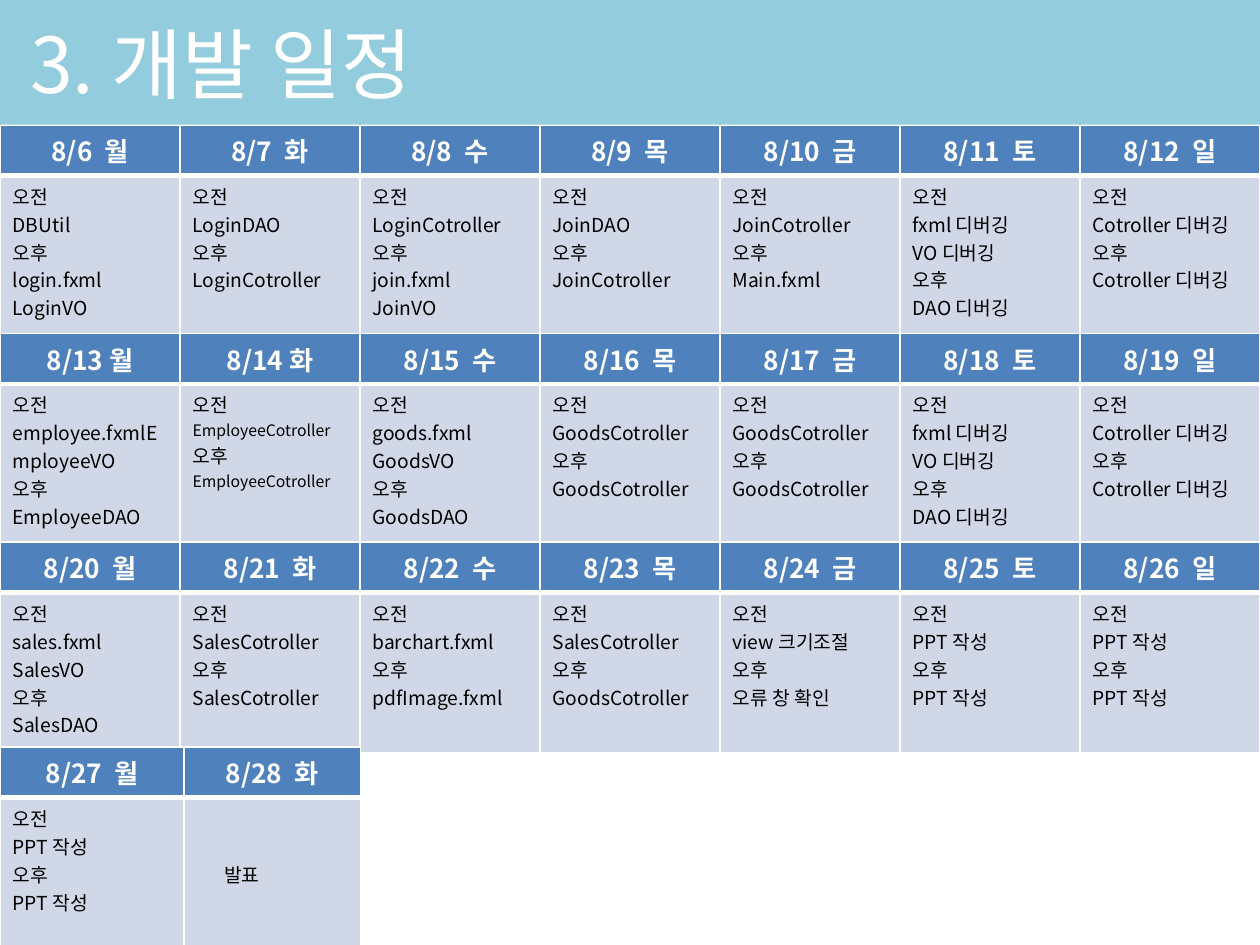
import pptx
import pptx.util
import pptx.dml.color
import pptx.enum.shapes
import pptx.enum.text
import pptx.oxml
import pptx.oxml.ns
import lxml.etree

Inches = pptx.util.Inches
Pt = pptx.util.Pt
RGBColor = pptx.dml.color.RGBColor
ALIGN = pptx.enum.text.PP_ALIGN
ANCHOR = pptx.enum.text.MSO_ANCHOR
qn = pptx.oxml.ns.qn

FONT = "Noto Sans CJK KR"
WHITE = RGBColor(0xFF, 0xFF, 0xFF)
BLACK = RGBColor(0x00, 0x00, 0x00)
SKY = RGBColor(0x93, 0xCD, 0xDD)
BLUE = RGBColor(0x4F, 0x81, 0xBD)
PALE = RGBColor(0xD0, 0xD8, 0xE8)

HEADER_HEIGHT = 0.39
SMALL_SIZES = {"EmployeeCotroller": 9}

WEEK_ONE = [
    ("8/6  월", ["오전", "DBUtil", "오후", "login.fxml", "LoginVO"]),
    ("8/7  화", ["오전", "LoginDAO", "오후", "LoginCotroller"]),
    ("8/8  수", ["오전", "LoginCotroller", "오후", "join.fxml", "JoinVO"]),
    ("8/9  목", ["오전", "JoinDAO", "오후", "JoinCotroller"]),
    ("8/10  금", ["오전", "JoinCotroller", "오후", "Main.fxml"]),
    ("8/11  토", ["오전", "fxml 디버깅", "VO 디버깅", "오후", "DAO 디버깅"]),
    ("8/12  일", ["오전", "Cotroller 디버깅", "오후", "Cotroller 디버깅"]),
]
WEEK_TWO = [
    ("8/13 월", ["오전", "employee.fxmlEmployeeVO", "오후", "EmployeeDAO"]),
    ("8/14 화", ["오전", "EmployeeCotroller", "오후", "EmployeeCotroller"]),
    ("8/15  수", ["오전", "goods.fxml", "GoodsVO", "오후", "GoodsDAO"]),
    ("8/16  목", ["오전", "GoodsCotroller", "오후", "GoodsCotroller"]),
    ("8/17  금", ["오전", "GoodsCotroller", "오후", "GoodsCotroller"]),
    ("8/18  토", ["오전", "fxml 디버깅", "VO 디버깅", "오후", "DAO 디버깅"]),
    ("8/19  일", ["오전", "Cotroller 디버깅", "오후", "Cotroller 디버깅"]),
]
WEEK_THREE = [
    ("8/20  월", ["오전", "sales.fxml", "SalesVO", "오후", "SalesDAO"]),
    ("8/21  화", ["오전", "SalesCotroller", "오후", "SalesCotroller"]),
    ("8/22  수", ["오전", "barchart.fxml", "오후", "pdfImage.fxml"]),
    ("8/23  목", ["오전", "SalesCotroller", "오후", "GoodsCotroller"]),
    ("8/24  금", ["오전", "view 크기조절", "오후", "오류 창 확인"]),
    ("8/25  토", ["오전", "PPT 작성", "오후", "PPT 작성"]),
    ("8/26  일", ["오전", "PPT 작성", "오후", "PPT 작성"]),
]
WRITING_DAY = [("8/27  월", ["오전", "PPT 작성", "오후", "PPT 작성"])]
FINAL_DAY = [("8/28  화", ["발표"])]


def write_text(text_frame, lines, size, color, bold=False, align=ALIGN.LEFT):
    for index, line in enumerate(lines):
        paragraph = text_frame.paragraphs[0] if index == 0 else text_frame.add_paragraph()
        paragraph.alignment = align
        run = paragraph.add_run()
        run.text = line
        run.font.name = FONT
        run.font.size = Pt(SMALL_SIZES.get(line, size))
        run.font.bold = bold
        run.font.color.rgb = color
        east_asian = lxml.etree.SubElement(run._r.get_or_add_rPr(), qn("a:ea"))
        east_asian.set("typeface", FONT)


def set_borders(cell, **widths):
    properties = cell._tc.get_or_add_tcPr()
    for index, side in enumerate(("L", "R", "T", "B")):
        line = pptx.oxml.parse_xml(
            f'<a:ln{side} xmlns:a="http://schemas.openxmlformats.org/drawingml/2006/main" '
            f'w="{Pt(widths.get(side, 1))}"><a:solidFill><a:srgbClr val="{WHITE}"/>'
            f'</a:solidFill></a:ln{side}>'
        )
        properties.insert(index, line)


def fill_cell(cell, color, **widths):
    cell.fill.solid()
    cell.fill.fore_color.rgb = color
    set_borders(cell, **widths)


def add_schedule(slide, days, left, top, width, height):
    table = slide.shapes.add_table(
        2, len(days), Inches(left), Inches(top), Inches(width), Inches(height)
    ).table
    table.rows[0].height = Inches(HEADER_HEIGHT)
    table.rows[1].height = Inches(height - HEADER_HEIGHT)
    for column, (date, tasks) in enumerate(days):
        table.columns[column].width = Inches(width / len(days))
        header, body = table.cell(0, column), table.cell(1, column)
        fill_cell(header, BLUE, B=3)
        write_text(header.text_frame, [date], size=15, color=WHITE, bold=True, align=ALIGN.CENTER)
        fill_cell(body, PALE, T=3)
        write_text(body.text_frame, tasks, size=11, color=BLACK)
    return table


def add_title(slide, text, left, top, width, height):
    shape = slide.shapes.add_shape(
        pptx.enum.shapes.MSO_SHAPE.RECTANGLE,
        Inches(left), Inches(top), Inches(width), Inches(height),
    )
    shape.shadow.inherit = False
    shape.fill.solid()
    shape.fill.fore_color.rgb = SKY
    shape.line.fill.background()
    text_frame = shape.text_frame
    text_frame.word_wrap = True
    text_frame.vertical_anchor = ANCHOR.MIDDLE
    text_frame.margin_left = Inches(0.24)
    write_text(text_frame, [text], size=44, color=WHITE)


def build_slide(presentation):
    slide = presentation.slides.add_slide(presentation.slide_layouts[6])
    for index, week in enumerate((WEEK_ONE, WEEK_TWO, WEEK_THREE)):
        add_schedule(slide, week, 0, 0.99 + index * 1.655, 10, 1.66)
    add_schedule(slide, WRITING_DAY, 0, 5.93, 1.46, 1.57)
    final_table = add_schedule(slide, FINAL_DAY, 1.46, 5.93, 1.4, 1.57)
    final_cell = final_table.cell(1, 0)
    final_cell.margin_left = Inches(0.32)
    final_cell.margin_top = Inches(0.49)
    add_title(slide, "3. 개발 일정", 0, 0, 10, 0.99)


presentation = pptx.Presentation()
presentation.slide_width = Inches(10)
presentation.slide_height = Inches(7.5)
build_slide(presentation)
presentation.save("out.pptx")
